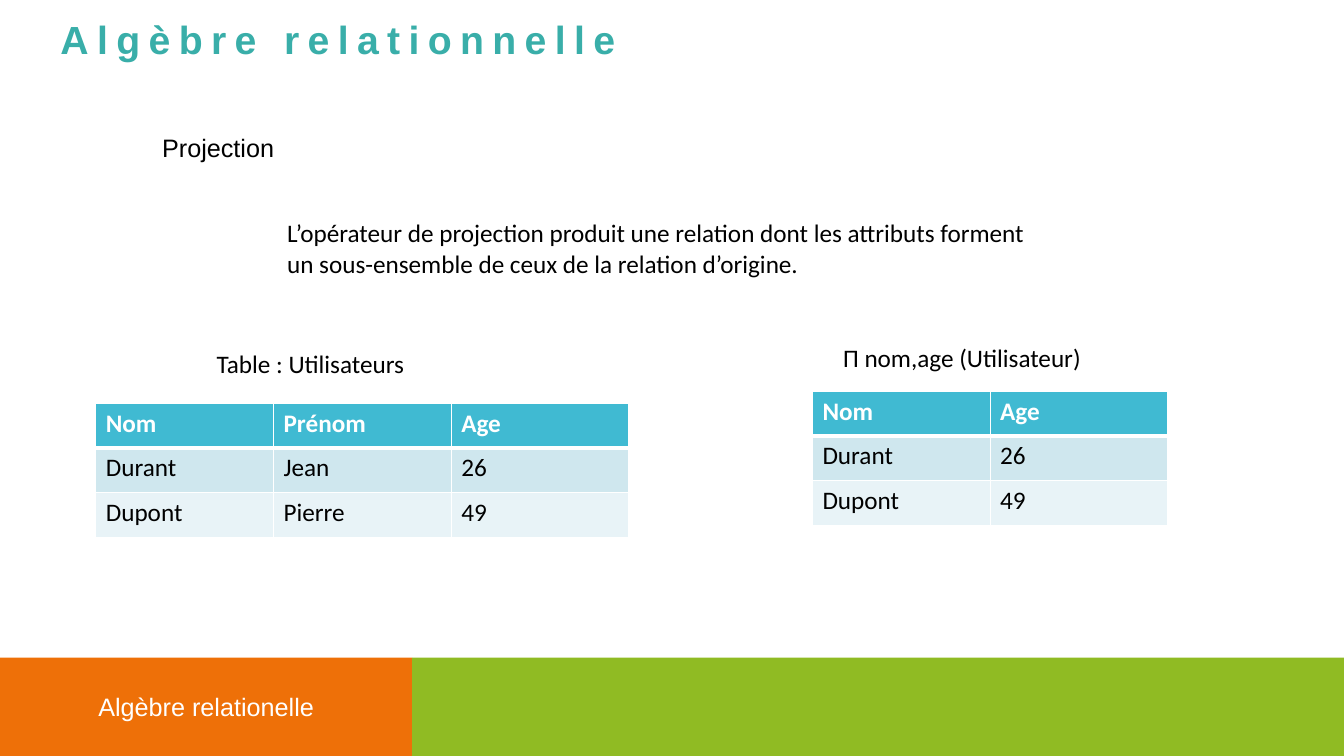
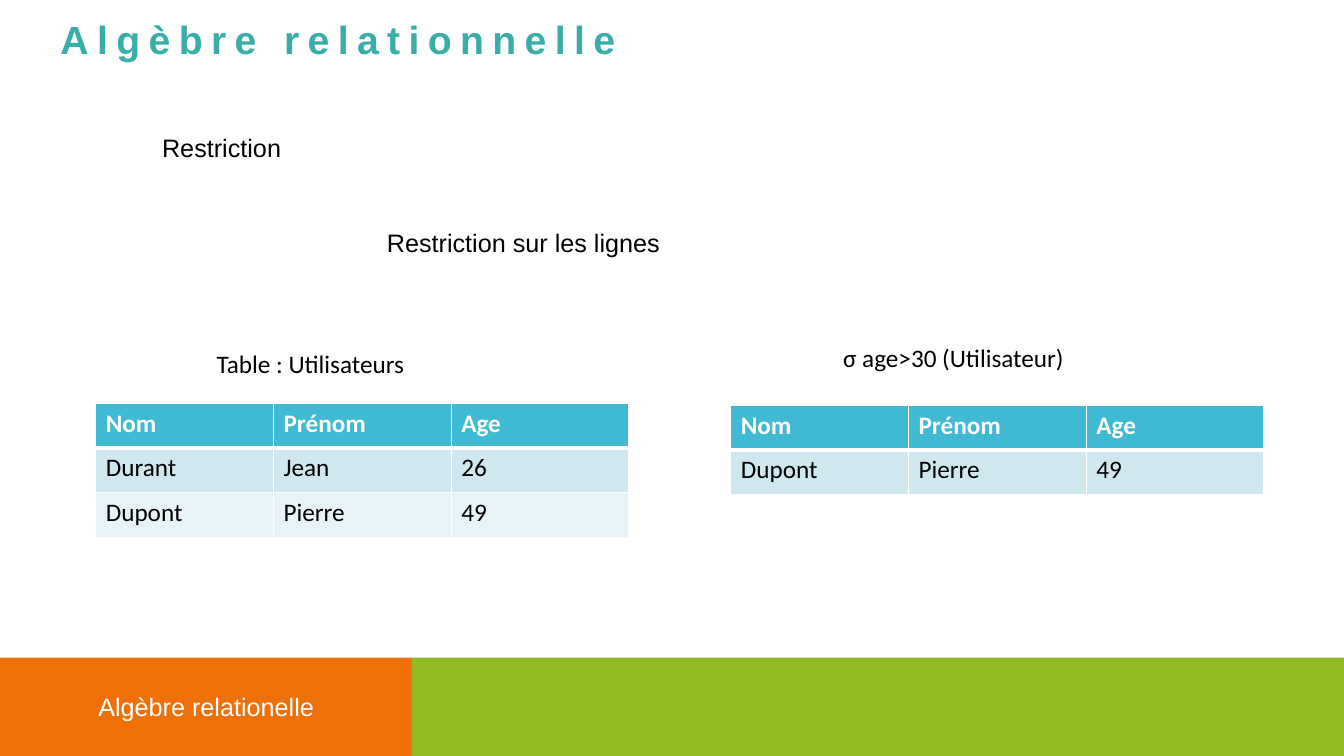
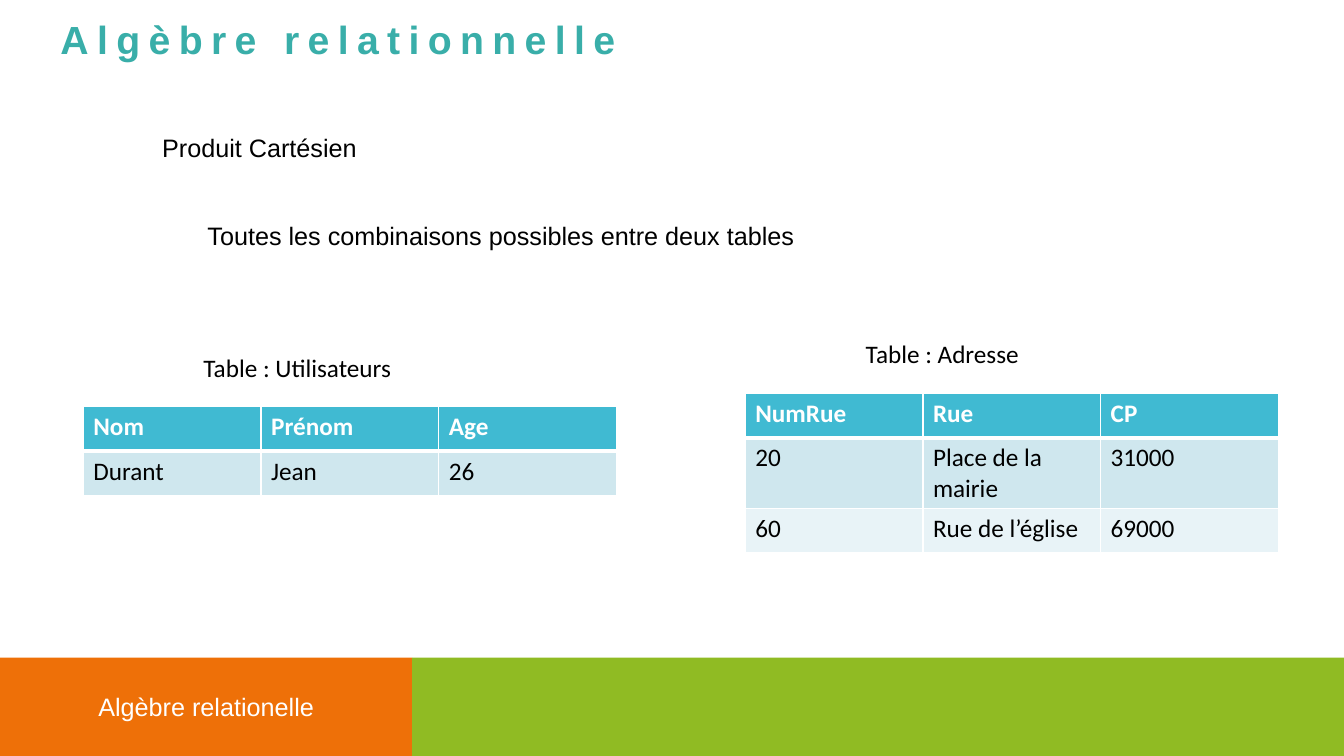
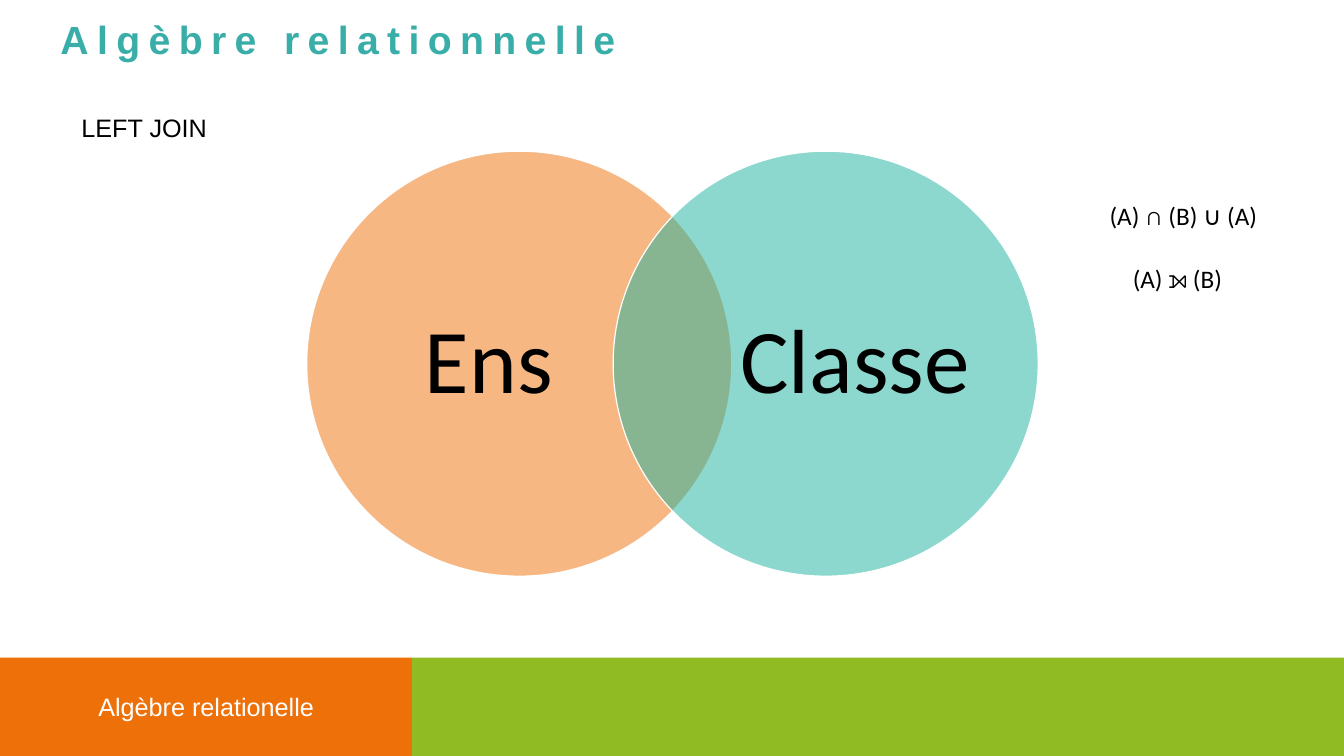
from dataclasses import dataclass

from lxml.etree import SubElement
from pptx import Presentation
from pptx.dml.color import RGBColor
from pptx.enum.shapes import MSO_SHAPE
from pptx.enum.text import MSO_ANCHOR, MSO_AUTO_SIZE, PP_ALIGN
from pptx.oxml import parse_xml
from pptx.oxml.ns import nsdecls, qn
from pptx.util import Emu, Inches, Pt

# Slide grid: square cells of a third of an inch
COLS, ROWS = 40, 22.5
CELL = Inches(1) / 3


def grid(n: float) -> Emu:
    return Emu(round(n * CELL))


@dataclass(frozen=True)
class Theme:
    teal: str = "39AEA9"
    orange: str = "EE7008"
    green: str = "90BB23"
    mint: str = "1AB39F"
    header: str = "40BAD2"
    bands: tuple[str, str] = ("CFE7EE", "E8F3F7")
    black: str = "000000"
    white: str = "FFFFFF"
    sans: str = "Arial"
    body: str = "Calibri"
    title_pt: int = 28
    text_pt: int = 18
    venn_pt: int = 65


T = Theme()
COL_W, ROW_H, LINE_H = 5.29, 1.33, 1.2


@dataclass(frozen=True)
class Label:
    text: str
    x: float
    y: float
    w: float
    h: float = LINE_H
    font: str = T.body
    wrap: bool = True


@dataclass(frozen=True)
class Grid:
    x: float
    y: float
    rows: tuple[tuple[str, ...], ...]


@dataclass(frozen=True)
class Circle:
    name: str
    x: float
    text_x: float
    color: str


@dataclass(frozen=True)
class Page:
    labels: tuple[Label, ...]
    tables: tuple[Grid, ...] = ()
    circles: tuple[Circle, ...] = ()


def heading(text: str, w: float, x: float = 4.53, y: float = 3.8) -> Label:
    return Label(text, x, y, w, font=T.sans, wrap=False)


# Content
USER_HEAD = ("Nom", "Prénom", "Age")
DURANT = ("Durant", "Jean", "26")
DUPONT = ("Dupont", "Pierre", "49")
USERS = Grid(2.85, 12, (USER_HEAD, DURANT, DUPONT))
USERS_LABEL = Label("Table : Utilisateurs", 6.15, 10.23, 8.85)

PAGES = (
    Page(
        (heading("Projection", 3.96),
         Label("L’opérateur de projection produit une relation dont les attributs "
               "forment un sous-ensemble de ceux de la relation d’origine.",
               8.25, 6.33, 22.6, 2.13),
         USERS_LABEL,
         Label("Π nom,age (Utilisateur)", 24.8, 10.05, 10.38)),
        (USERS, Grid(24.18, 11.64, tuple(row[::2] for row in USERS.rows))),
    ),
    Page(
        (heading("Restriction", 4.38),
         heading("Restriction sur les lignes", 9, 11.22, 6.63),
         USERS_LABEL,
         Label("σ age>30 (Utilisateur)", 24.8, 10.05, 10.38)),
        (USERS, Grid(21.75, 12.06, (USER_HEAD, DUPONT))),
    ),
    Page(
        (heading("Produit Cartésien", 6.66),
         heading("Toutes les combinaisons possibles entre deux tables", 18.21, 5.88, 6.4),
         Label("Table : Utilisateurs", 5.76, 10.35, 8.85),
         Label("Table : Adresse", 25.47, 9.93, 8.85)),
        (Grid(2.48, 12.1, (USER_HEAD, DURANT)),
         Grid(22.18, 11.7, (("NumRue", "Rue", "CP"),
                            ("20", "Place de la mairie", "31000"),
                            ("60", "Rue de l’église", "69000")))),
    ),
    Page(
        (heading("LEFT JOIN", 4.38, 2.13, 3.2),
         Label("(A) ∩ (B) ∪ (A)", 32.73, 5.82, 5.4),
         Label("(A) ⟕ (B)", 33.42, 7.68, 4.68)),
        circles=(Circle("Ens", 9.13, 10.9, T.orange),
                 Circle("Classe", 18.25, 21.8, T.mint)),
    ),
)


# Drawing helpers
def style(p, color: str, size: int, font: str, bold: bool = False) -> None:
    p.font.name, p.font.size, p.font.bold = font, Pt(size), bold
    p.font.color.rgb = RGBColor.from_string(color)


def add_box(s, x: float, y: float, w: float, h: float, margin: bool = True):
    tf = s.shapes.add_textbox(grid(x), grid(y), grid(w), grid(h)).text_frame
    tf.word_wrap = True
    if not margin:
        tf.margin_left = tf.margin_right = tf.margin_top = tf.margin_bottom = 0
    return tf


def add_label(s, label: Label) -> None:
    tf = add_box(s, label.x, label.y, label.w, label.h)
    tf.word_wrap = label.wrap
    tf.auto_size = MSO_AUTO_SIZE.SHAPE_TO_FIT_TEXT
    p = tf.paragraphs[0]
    p.text = label.text
    style(p, T.black, T.text_pt, label.font)


def add_filled(s, kind: MSO_SHAPE, x: float, y: float, w: float, h: float, color: str):
    sp = s.shapes.add_shape(kind, grid(x), grid(y), grid(w), grid(h))
    sp.shadow.inherit = False
    sp.fill.solid()
    sp.fill.fore_color.rgb = RGBColor.from_string(color)
    sp.line.fill.background()
    return sp


def add_title(s) -> None:
    tf = add_box(s, 1.8, 0.8, 19.4, 1.05, margin=False)
    p = tf.paragraphs[0]
    r = p.add_run()
    r.text = "Algèbre relationnelle"
    p.line_spacing = Pt(25)
    style(p, T.teal, T.title_pt, T.sans, bold=True)
    r.font._element.set("spc", "600")


def add_footer(s) -> None:
    top, split = 19.57, 12.27
    sp = add_filled(s, MSO_SHAPE.RECTANGLE, 0, top, split, ROWS - top, T.orange)
    add_filled(s, MSO_SHAPE.RECTANGLE, split, top, COLS - split, ROWS - top, T.green)
    p = sp.text_frame.paragraphs[0]
    p.text = "Algèbre relationelle"
    p.alignment = PP_ALIGN.CENTER
    style(p, T.white, T.text_pt, T.sans)


def set_borders(cell, top: int, bottom: int) -> None:
    tcPr = cell._tc.get_or_add_tcPr()
    sides = (("L", 1), ("R", 1), ("T", top), ("B", bottom))
    for i, (side, width) in enumerate(sides):
        tcPr.insert(i, parse_xml(
            f'<a:ln{side} {nsdecls("a")} w="{Pt(width)}"><a:solidFill>'
            f'<a:srgbClr val="{T.white}"/></a:solidFill></a:ln{side}>'))


def add_grid(s, g: Grid) -> None:
    n_rows, n_cols = len(g.rows), len(g.rows[0])
    table = s.shapes.add_table(n_rows, n_cols, grid(g.x), grid(g.y),
                               grid(n_cols * COL_W), grid(n_rows * ROW_H)).table
    for i, row in enumerate(g.rows):
        table.rows[i].height = grid(ROW_H)
        is_head = i == 0
        fill = T.header if is_head else T.bands[(i - 1) % 2]
        for j, text in enumerate(row):
            cell = table.cell(i, j)
            cell.fill.solid()
            cell.fill.fore_color.rgb = RGBColor.from_string(fill)
            set_borders(cell, top=3 if i == 1 else 1, bottom=3 if is_head else 1)
            p = cell.text_frame.paragraphs[0]
            p.text = text
            style(p, T.white if is_head else T.black, T.text_pt, T.body, is_head)


def add_circle(s, c: Circle) -> None:
    size = 12.65
    sp = add_filled(s, MSO_SHAPE.OVAL, c.x, 4.5, size, size, c.color)
    color = sp.fill._xPr.find(qn("a:solidFill"))[0]
    SubElement(color, qn("a:alpha"), val="50000")
    sp.line.color.rgb = RGBColor.from_string(T.white)
    sp.line.width = Pt(0.85)

    tf = add_box(s, c.text_x, 6, 7.3, 9.65, margin=False)
    tf.vertical_anchor = MSO_ANCHOR.MIDDLE
    p = tf.paragraphs[0]
    p.text = c.name
    p.alignment = PP_ALIGN.CENTER
    p.line_spacing = 0.9
    style(p, T.black, T.venn_pt, T.body)


def add_page(prs, page: Page) -> None:
    s = prs.slides.add_slide(prs.slide_layouts[6])
    add_title(s)
    add_footer(s)
    for g in page.tables:
        add_grid(s, g)
    for c in page.circles:
        add_circle(s, c)
    for label in page.labels:
        add_label(s, label)


def main() -> None:
    prs = Presentation()
    prs.slide_width, prs.slide_height = grid(COLS), grid(ROWS)
    for page in PAGES:
        add_page(prs, page)
    prs.save("out.pptx")


if __name__ == "__main__":
    main()
